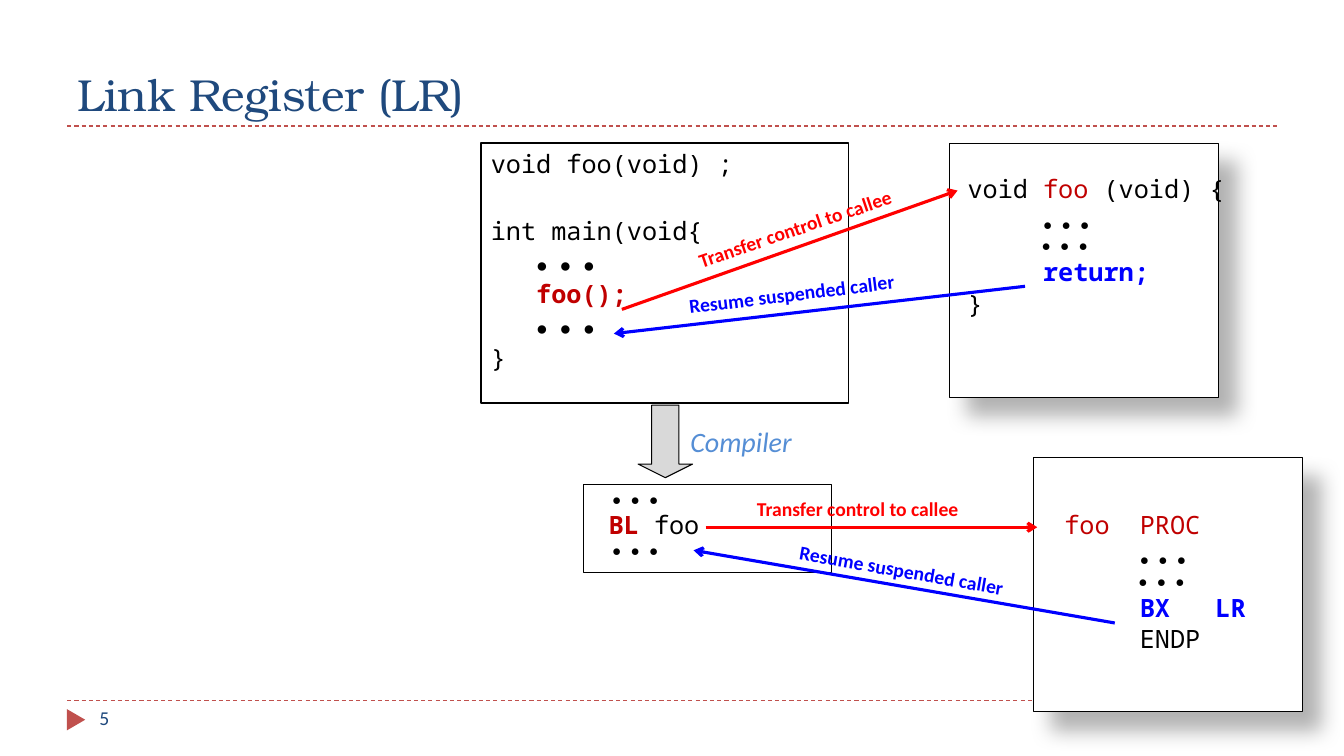
from lxml.etree import SubElement as Sub
from pptx import Presentation
from pptx.dml.color import RGBColor
from pptx.enum.dml import MSO_LINE as Dash
from pptx.enum.shapes import MSO_CONNECTOR as Conn, MSO_SHAPE as Form
from pptx.enum.text import MSO_ANCHOR as Anchor, MSO_AUTO_SIZE as Fit, PP_ALIGN as Align
from pptx.oxml import parse_xml
from pptx.oxml.ns import nsdecls, qn
from pptx.util import Pt

BLACK = RGBColor(0, 0, 0)
WHITE = RGBColor(255, 255, 255)
GREY = RGBColor(0xD9, 0xD9, 0xD9)
NAVY = RGBColor(0x1F, 0x49, 0x7D)
SKY = RGBColor(0x55, 0x8E, 0xD5)
BRICK = RGBColor(0xC0, 0x50, 0x4D)
DARK = RGBColor(0xC0, 0, 0)
RED = RGBColor(255, 0, 0)
BLUE = RGBColor(0, 0, 255)
SANS = "Calibri"
MONO = "Noto Sans Mono"
DOTS = "● ● ●"
SHADE = f"""<a:effectLst {nsdecls("a")}>
<a:outerShdw blurRad="190500" dist="228600" dir="2700000" algn="ctr" rotWithShape="0">
<a:srgbClr val="000000"><a:alpha val="30000"/></a:srgbClr></a:outerShdw></a:effectLst>"""

prs = Presentation()
prs.slide_width, prs.slide_height = Pt(960), Pt(540)
slide = prs.slides.add_slide(prs.slide_layouts[5])
shapes = slide.shapes


def link(x1, y1, x2, y2, color, width):
    line = shapes.add_connector(Conn.STRAIGHT, Pt(x1), Pt(y1), Pt(x2), Pt(y2))
    line.line.color.rgb = color
    line.line.width = Pt(width)
    Sub(line._element.spPr, qn("a:effectLst"))
    return line


def write(shape, rows, font, gap=0):
    frame = shape.text_frame
    frame.word_wrap = True
    frame.vertical_anchor = Anchor.TOP
    for i, row in enumerate(rows):
        para = frame.paragraphs[0] if i == 0 else frame.add_paragraph()
        para.alignment = Align.LEFT
        if i:
            para.space_before = Pt(gap)
        for text, size, color, bold in row:
            run = para.add_run()
            run.text = text
            run.font.name = font
            run.font.size = Pt(size)
            run.font.color.rgb = color
            run.font.bold = bold


title = shapes.title
title.left, title.top, title.width, title.height = Pt(48), Pt(18), Pt(864), Pt(72)
frame = title.text_frame
frame.text = "Link Register (LR)"
frame.auto_size = Fit.NONE
frame.vertical_anchor = Anchor.BOTTOM
frame.paragraphs[0].alignment = Align.LEFT
font = frame.paragraphs[0].runs[0].font
font.name, font.size, font.color.rgb = "TeX Gyre Bonum", Pt(32), NAVY

for y in (500.5, 90):
    link(48, y, 912, y, BRICK, 0.75).line.dash_style = Dash.DASH

blocks = {}
for name, form, x, y, w, h, fill, edge in (
    ("mark", Form.ISOSCELES_TRIANGLE, 46.8, 507.6, 15.1, 13, BRICK, 0),
    ("main", Form.RECTANGLE, 343.5, 102.2, 262.8, 185.8, WHITE, 1),
    ("proc", Form.RECTANGLE, 738, 327, 192.2, 181.5, WHITE, 0.75),
    ("arrow", Form.DOWN_ARROW, 455.8, 289.4, 38.9, 51.8, GREY, 0.75),
    ("call", Form.RECTANGLE, 416.9, 346.3, 177.1, 62.6, None, 1),
    ("func", Form.RECTANGLE, 678.2, 102.2, 192.2, 181.5, WHITE, 0.75),
):
    block = shapes.add_shape(form, Pt(x), Pt(y), Pt(w), Pt(h))
    block.shadow.inherit = False
    if fill is None:
        block.fill.background()
    else:
        block.fill.solid()
        block.fill.fore_color.rgb = fill
    if edge:
        block.line.color.rgb = BLACK
        block.line.width = Pt(edge)
    else:
        block.line.fill.background()
    blocks[name] = block

blocks["mark"].rotation = 90
blocks["arrow"].adjustments[1] = 0.25
for name in ("proc", "func"):
    props = blocks[name]._element.spPr
    props.replace(props.find(qn("a:effectLst")), parse_xml(SHADE))

dots = [("   ", 18, BLACK, False), (DOTS, 14, BLACK, False)]
write(blocks["main"], [
    [("void foo(void) ;", 18, BLACK, False)],
    [("int main(void{", 18, BLACK, False)],
    dots,
    [("   ", 18, BLACK, False), ("foo();", 18, DARK, True)],
    dots,
    [("}", 18, BLACK, False)],
], MONO, 1)
blocks["main"].text_frame.paragraphs[1].space_before = Pt(26.5)

small = [("  " + DOTS, 11, BLACK, False)]
write(blocks["call"], [
    small,
    [(" ", 18, BLACK, False), ("BL ", 18, DARK, True), ("foo", 18, BLACK, False)],
    small,
], MONO, 1)

body = [
    [("     ", 18, BLACK, False), (DOTS, 11, BLACK, False)],
    [("        " + DOTS, 11, BLACK, False)],
]
proc = [
    [("foo  PROC", 18, DARK, False)],
    *body,
    [("     BX   LR", 18, BLUE, True)],
    [("     ENDP", 18, BLACK, False)],
]
func = [
    [("void ", 18, BLACK, False), ("foo", 18, DARK, False), (" (void) {", 18, BLACK, False)],
    *body,
    [("     return;", 18, BLUE, True)],
    [("}", 18, BLACK, False)],
]
go = [[("Transfer control to callee", 14, RED, True)]]
back = [[("Resume suspended caller", 14, BLUE, True)]]
for x, y, w, h, turn, rows, face, gap in (
    (64, 500.5, 208, 29, 0, [[("5", 14, NAVY, False)]], SANS, 0),
    (486, 299.5, 102.2, 31, 0, [[("Compiler", 20, SKY, False)]], SANS, 0),
    (753.1, 360, 200.9, 145.4, 0, proc, MONO, 1),
    (684, 120.2, 200.9, 119.5, 0, func, MONO, 1),
    (488.2, 147.6, 180.7, 24.5, 341.3, go, SANS, 0),
    (484.6, 196.6, 180.7, 24.5, 353, back, SANS, 0),
    (533.5, 351.4, 180.7, 24.5, 0, go, SANS, 0),
    (563, 396.7, 180.7, 24.5, 9.9, back, SANS, 0),
):
    box = shapes.add_textbox(Pt(x), Pt(y), Pt(w), Pt(h))
    box.rotation = turn
    write(box, rows, face, gap)
    if rows[0][0][0] == "Compiler":
        box.text_frame.paragraphs[0].runs[0].font.italic = True

for x1, y1, x2, y2, color in (
    (504, 376.6, 740.9, 376.6, RED),
    (444.2, 221, 684, 136.1, RED),
    (732.2, 204.5, 438.5, 238.3, BLUE),
    (796.3, 445, 495.4, 393.1, BLUE),
):
    line = link(x1, y1, x2, y2, color, 2.25)
    Sub(line.line._get_or_add_ln(), qn("a:tailEnd"), type="arrow")

prs.save("out.pptx")
